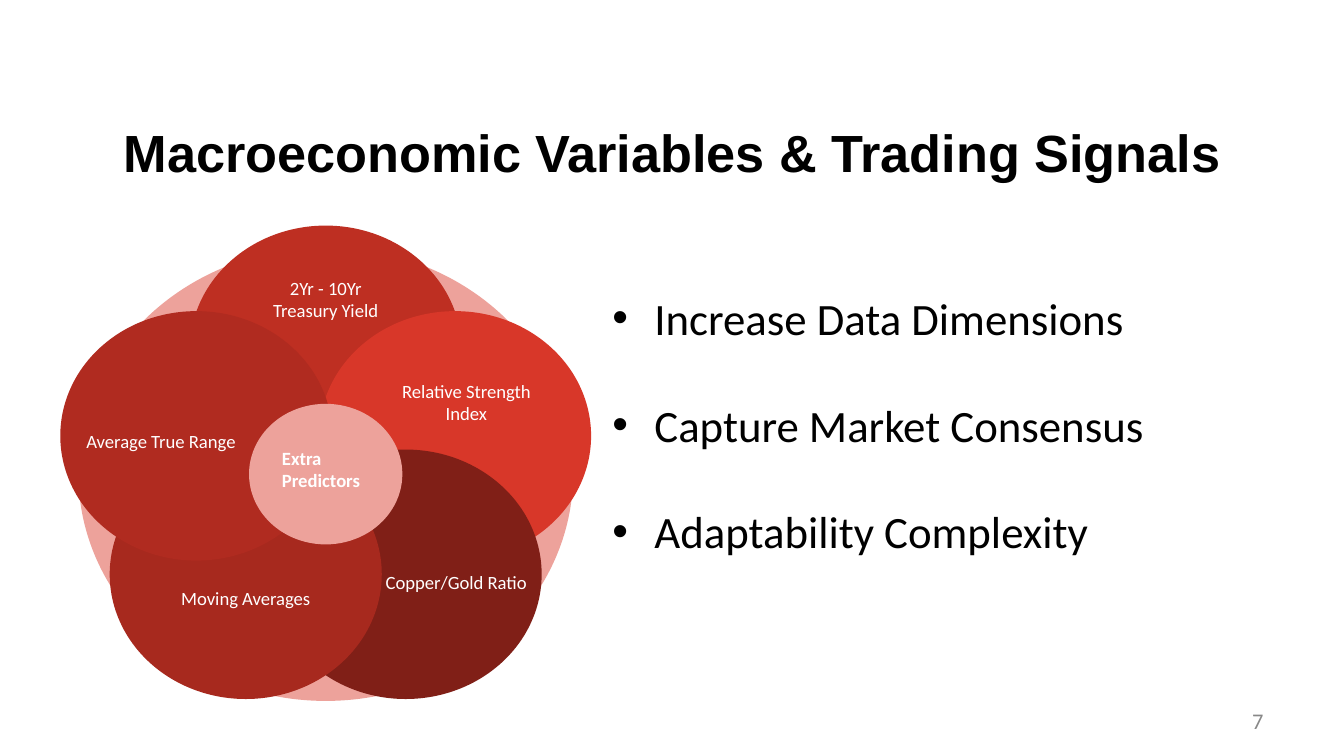
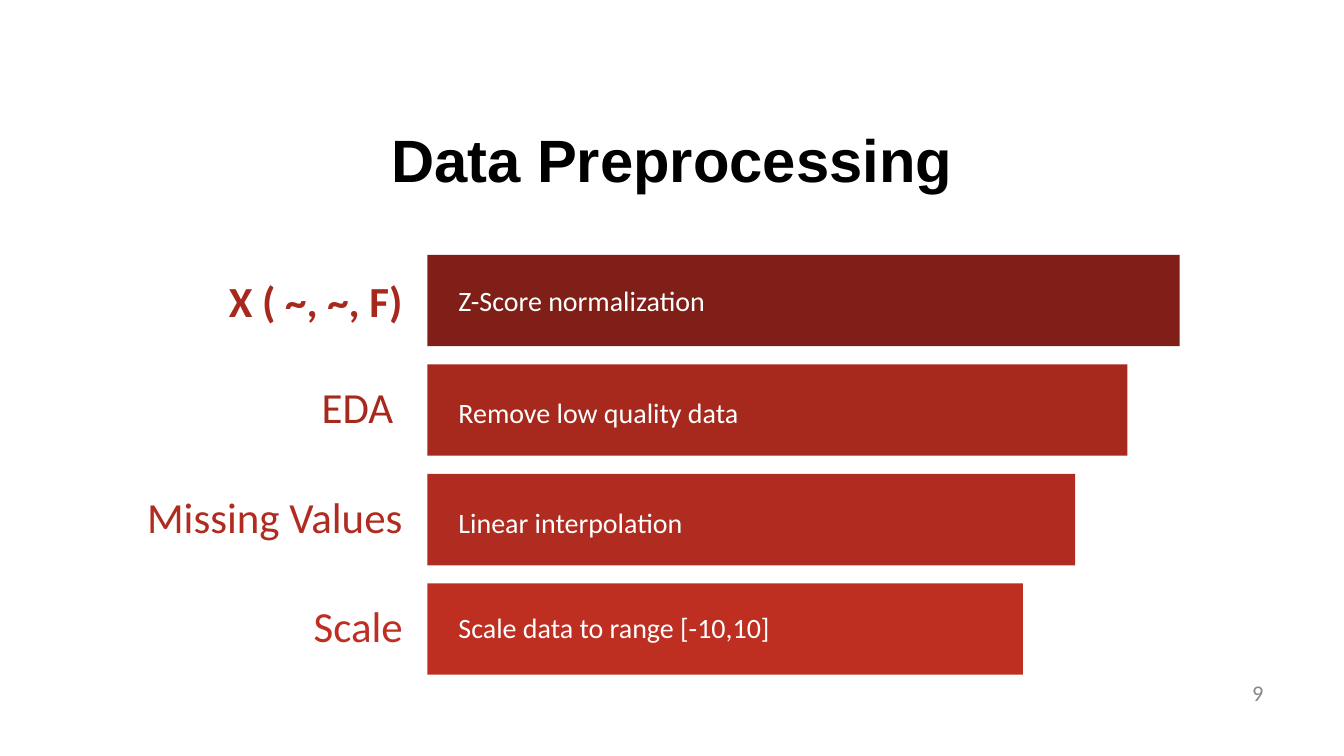
from math import cos, radians, sin

from lxml import etree
from pptx import Presentation
from pptx.dml.color import RGBColor
from pptx.enum import shapes, text
from pptx.oxml import ns
from pptx.util import Pt

HUES = {
    "ink": "000000", "paper": "FFFFFF", "grey": "888888", "pink": "EDA29B",
    "dark": "801F17", "deep": "A7291E", "brick": "B02B20",
    "red": "BE2F22", "bright": "D83729",
}
LEFT, MID, RIGHT = text.PP_ALIGN.LEFT, text.PP_ALIGN.CENTER, text.PP_ALIGN.RIGHT
TOP, CORE = text.MSO_ANCHOR.TOP, text.MSO_ANCHOR.MIDDLE


def tint(hue):
    return RGBColor.from_string(HUES[hue])


def write(para, words, size, hue, align=LEFT, bold=False, font="Calibri", lead=None):
    para.alignment = align
    para.line_spacing = lead
    run = para.add_run()
    run.text = words
    run.font.name = font
    run.font.size = Pt(size)
    run.font.bold = bold
    run.font.color.rgb = tint(hue)


def frame(shape, anchor=CORE, pad=3.6):
    body = shape.text_frame
    body.word_wrap = True
    body.auto_size = text.MSO_AUTO_SIZE.NONE
    body.vertical_anchor = anchor
    body.margin_left = body.margin_right = Pt(7.2)
    body.margin_top = body.margin_bottom = Pt(pad)
    return body


def note(slide, box, words, size, hue, anchor=CORE, pad=3.6, **style):
    shape = slide.shapes.add_textbox(*map(Pt, box))
    write(frame(shape, anchor, pad).paragraphs[0], words, size, hue, **style)


def block(slide, kind, box, hue):
    shape = slide.shapes.add_shape(kind, *map(Pt, box))
    shape.shadow.inherit = False
    shape.fill.solid()
    shape.fill.fore_color.rgb = tint(hue)
    shape.line.fill.background()


def oval(slide, mid, size, hue):
    (x, y), (w, h) = mid, size
    block(slide, shapes.MSO_SHAPE.OVAL, (x - w / 2, y - h / 2, w, h), hue)


def start(deck, title, box, size, page, foot):
    slide = deck.slides.add_slide(deck.slide_layouts[5])
    head = slide.shapes.title
    head.left, head.top, head.width, head.height = map(Pt, box)
    write(frame(head).paragraphs[0], title, size, "ink", MID, True, "Arial")
    note(slide, (516, foot, 168, 21.6), page, 12, "grey", align=RIGHT)
    return slide


def bullets(slide, box, items):
    body = frame(slide.shapes.add_textbox(*map(Pt, box)), TOP)
    for i, item in enumerate(items):
        para = body.paragraphs[0] if i == 0 else body.add_paragraph()
        para.space_before = Pt(28.5 if i else 0)
        write(para, item, 24, "ink")
        props = para._p.get_or_add_pPr()
        props.set("marL", str(Pt(22.5)))
        props.set("indent", str(-Pt(22.5)))
        font = etree.SubElement(props, ns.qn("a:buFont"))
        font.set("typeface", "Arial")
        mark = etree.SubElement(props, ns.qn("a:buChar"))
        mark.set("char", "•")


def flower(slide, box, petals):
    x, y, w, h = box
    mid = x + w / 2, y + h / 2
    oval(slide, mid, (w, h), "pink")
    for i, (words, hue, dx, dy, wide) in enumerate(petals):
        turn = radians(i * 360 / len(petals))
        px = mid[0] + 0.275 * w * sin(turn)
        py = mid[1] - 0.273 * h * cos(turn)
        oval(slide, (px, py), (0.55 * w, 0.55 * h), hue)
        note(slide, (px + dx - wide / 2, py + dy - 20.5, wide, 41), words, 10,
             "paper", pad=7.2, align=MID)
    oval(slide, mid, (0.31 * w, 0.31 * h), "pink")
    note(slide, (mid[0] - 30.5, mid[1] - 22, 72, 36), "Extra Predictors", 10,
         "paper", TOP, 7.2, bold=True)


def ladder(slide, box, rows):
    x, y, w, h = box
    tall = 49
    step = (h - tall) / (len(rows) - 1)
    for i, (label, tone, words, hue, lead, lift) in enumerate(rows):
        top, wide = y + i * step, w - i * 28
        note(slide, (x - 190, top + 3.5, 184, 42), label, 23, tone,
             align=RIGHT, bold=i == 0, lead=None if i == 0 else 0.9)
        block(slide, shapes.MSO_SHAPE.RECTANGLE, (x, top, wide, tall), hue)
        note(slide, (x + 9.5, top + 13.5 - lift, wide - 38, 22), words, 15,
             "paper", lead=lead)


def signals(deck):
    slide = start(deck, "Macroeconomic Variables & Trading Signals",
                  (19.5, 46, 681, 70.5), 28, "7", 375)
    bullets(slide, (321, 152, 379.5, 152.5), [
        "Increase Data Dimensions",
        "Capture Market Consensus",
        "Adaptability Complexity",
    ])
    flower(slide, (42, 132.5, 265, 243), [
        ("2Yr - 10Yr Treasury Yield", "red", 0, -27.5, 89),
        ("Relative Strength Index", "bright", 6, -18, 89),
        ("Copper/Gold Ratio", "dark", 27, 4, 93),
        ("Moving Averages", "deep", 0, 12.5, 89),
        ("Average True Range", "brick", -19, 3, 107),
    ])


def cleanup(deck):
    slide = start(deck, "Data Preprocessing", (36, 53.5, 648, 63), 32, "9", 360.5)
    ladder(slide, (229, 136.5, 403, 225), [
        ("X ( ~, ~, F)", "deep", "Z-Score normalization", "dark", None, 0),
        ("EDA ", "deep", "Remove low quality data", "deep", 1.15, 0),
        ("Missing Values", "brick", "Linear interpolation", "brick", 1.15, 0),
        ("Scale", "red", "Scale data to range [-10,10]", "red", 1.15, 2),
    ])


def main():
    deck = Presentation()
    deck.slide_width, deck.slide_height = Pt(720), Pt(405)
    signals(deck)
    cleanup(deck)
    deck.save("out.pptx")


if __name__ == "__main__":
    main()
